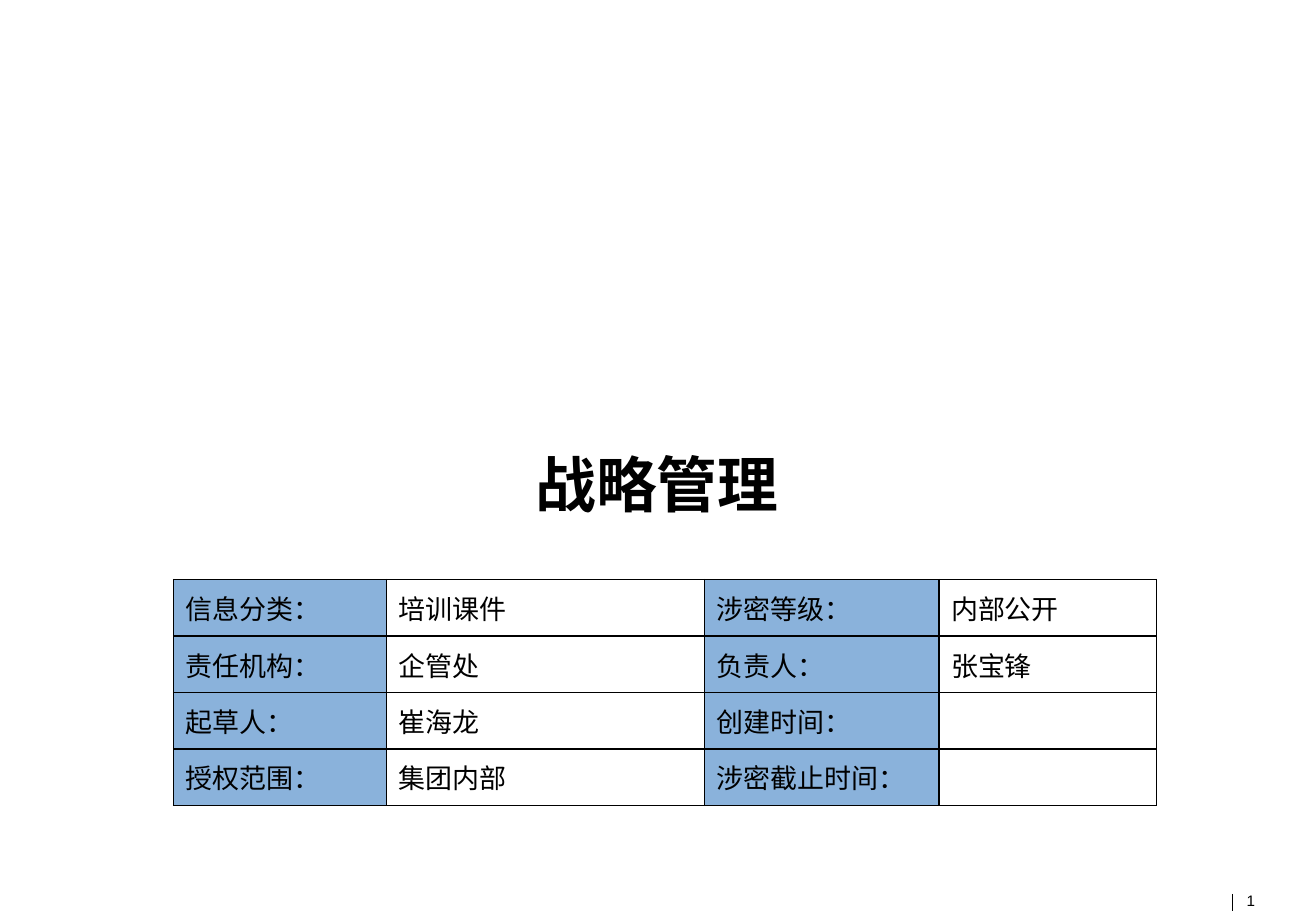
import pptx
import pptx.dml.color
import pptx.enum.text
import pptx.oxml.ns
import pptx.util
from lxml import etree

Cm, Pt = pptx.util.Cm, pptx.util.Pt
PP_ALIGN = pptx.enum.text.PP_ALIGN
ANCHOR = pptx.enum.text.MSO_ANCHOR
AUTO_SIZE = pptx.enum.text.MSO_AUTO_SIZE
qn = pptx.oxml.ns.qn

# Content
TITLE = "战略管理"
PAGE_NUMBER = "1"
DOCUMENT_INFO = [
    ("信息分类：", "培训课件", "涉密等级：", "内部公开"),
    ("责任机构：", "企管处", "负责人：", "张宝锋"),
    ("起草人：", "崔海龙", "创建时间：", ""),
    ("授权范围：", "集团内部", "涉密截止时间：", ""),
]

# Layout and colours
COLUMN_WIDTHS = [4.45, 6.65, 4.9, 4.55]
ROW_HEIGHT = 1.18
BLACK, WHITE, LABEL_BLUE = "000000", "FFFFFF", "8AB2DB"


def rgb(color):
    return pptx.dml.color.RGBColor.from_string(color)


def write(text_frame, text, size, bold=False):
    text_frame.text = text
    paragraph = text_frame.paragraphs[0]
    for run in paragraph.runs:
        run.font.name = "Arial"
        run.font.size = Pt(size)
        run.font.bold = bold
        run.font.color.rgb = rgb(BLACK)
    return paragraph


def clear_margins(text_frame):
    text_frame.margin_left = text_frame.margin_right = 0
    text_frame.margin_top = text_frame.margin_bottom = 0


def add_borders(cell):
    properties = cell._tc.get_or_add_tcPr()
    for side in ("a:lnL", "a:lnR", "a:lnT", "a:lnB"):
        border = etree.SubElement(properties, qn(side), w=str(Pt(1)))
        fill = etree.SubElement(border, qn("a:solidFill"))
        etree.SubElement(fill, qn("a:srgbClr"), val=BLACK)


presentation = pptx.Presentation()
presentation.slide_width, presentation.slide_height = Cm(27.51), Cm(19.05)
slide = presentation.slides.add_slide(presentation.slide_layouts[5])

# Title
title = slide.shapes.title
title.left, title.top, title.width, title.height = Cm(6.02), Cm(9.32), Cm(15.42), Cm(1.55)
clear_margins(title.text_frame)
title.text_frame.word_wrap = True
title.text_frame.auto_size = AUTO_SIZE.NONE
title.text_frame.vertical_anchor = ANCHOR.MIDDLE
write(title.text_frame, TITLE, 36, bold=True).alignment = PP_ALIGN.CENTER

# Document information table
row_count, column_count = len(DOCUMENT_INFO), len(COLUMN_WIDTHS)
table = slide.shapes.add_table(
    row_count, column_count, Cm(3.63), Cm(12.12),
    Cm(sum(COLUMN_WIDTHS)), Cm(ROW_HEIGHT * row_count)).table
for column, width in zip(table.columns, COLUMN_WIDTHS):
    column.width = Cm(width)
for row, texts in zip(table.rows, DOCUMENT_INFO):
    row.height = Cm(ROW_HEIGHT)
    for index, (cell, text) in enumerate(zip(row.cells, texts)):
        add_borders(cell)
        cell.fill.solid()
        cell.fill.fore_color.rgb = rgb(WHITE if index % 2 else LABEL_BLUE)
        cell.vertical_anchor = ANCHOR.MIDDLE
        write(cell.text_frame, text, 16).space_before = Pt(3.2)

# Page number with its divider
divider = slide.shapes.add_connector(
    pptx.enum.shapes.MSO_CONNECTOR.STRAIGHT, Cm(25.76), Cm(18.69), Cm(25.76), Cm(19.05))
divider.line.color.rgb = rgb(BLACK)
divider.line.width = Pt(0.75)
etree.SubElement(divider._element.spPr, qn("a:effectLst"))

page_number = slide.shapes.add_textbox(Cm(26.06), Cm(18.64), Cm(0.2), Cm(0.38))
clear_margins(page_number.text_frame)
page_number.text_frame.word_wrap = False
write(page_number.text_frame, PAGE_NUMBER, 9)

presentation.save("out.pptx")
